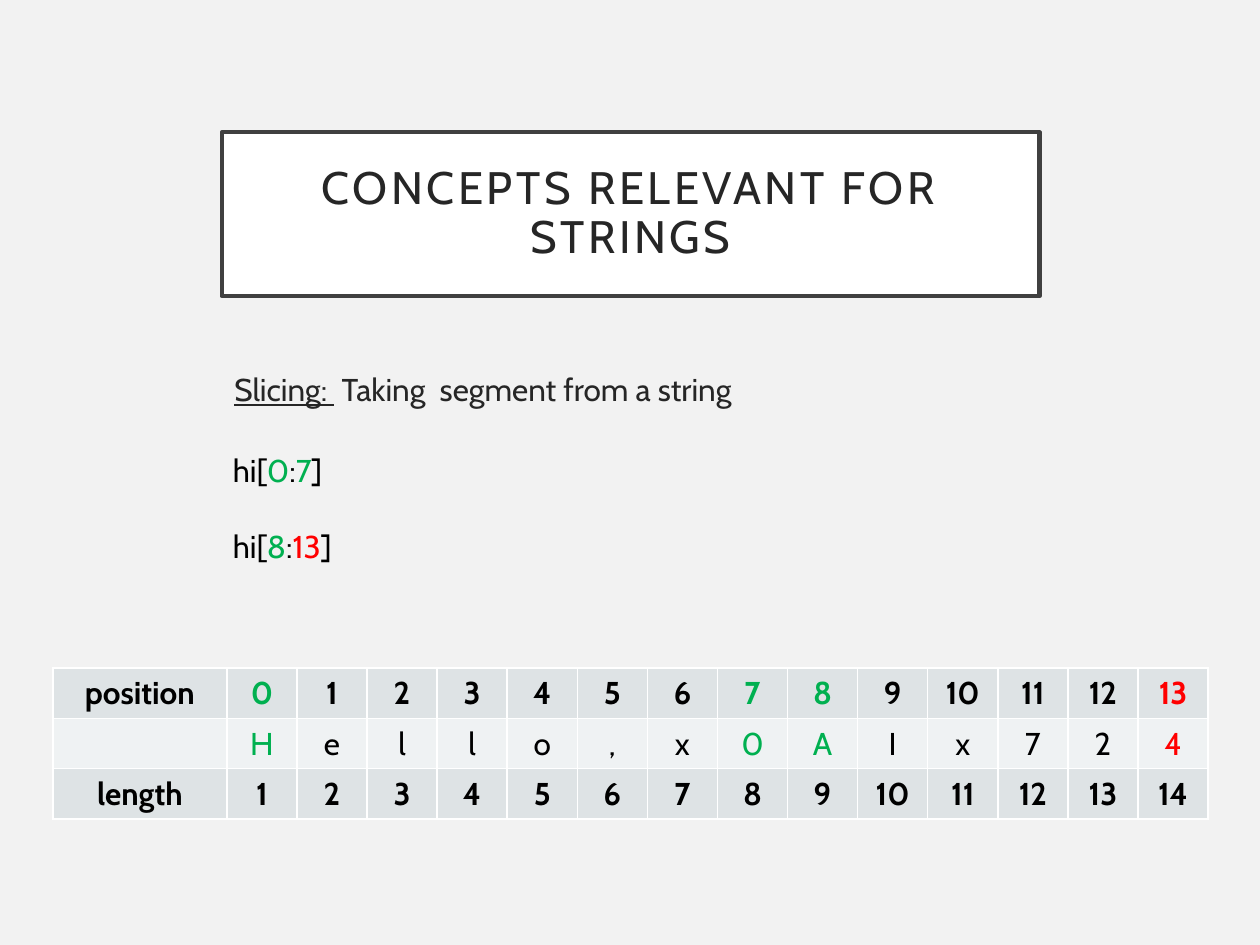
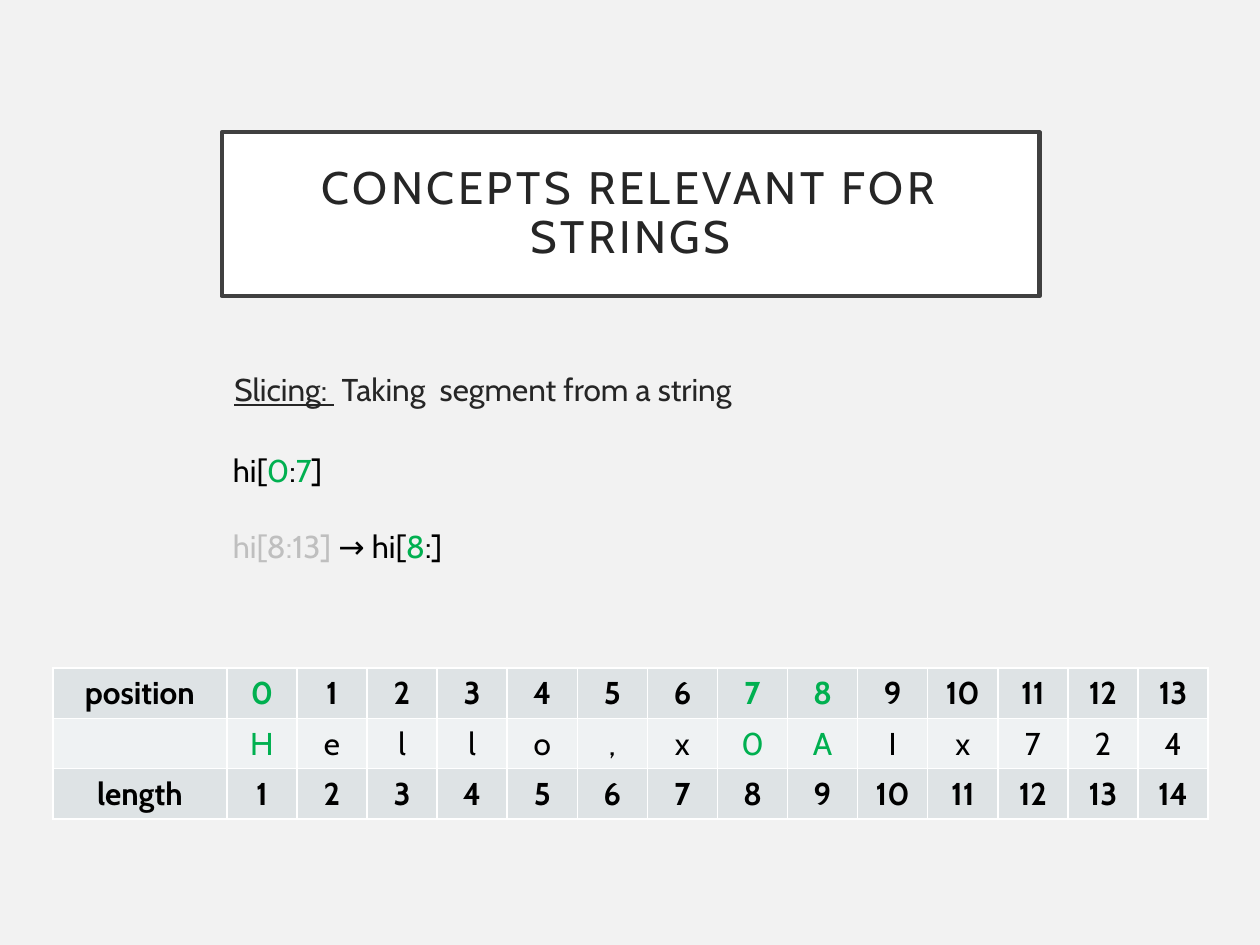
from lxml import etree
from pptx import Presentation
from pptx.dml.color import RGBColor
from pptx.enum.text import MSO_ANCHOR, MSO_AUTO_SIZE, PP_ALIGN
from pptx.oxml.ns import qn
from pptx.util import Inches, Pt

CENTER, LEFT = PP_ALIGN.CENTER, PP_ALIGN.LEFT
MIDDLE, TOP = MSO_ANCHOR.MIDDLE, MSO_ANCHOR.TOP
NO_FIT = MSO_AUTO_SIZE.NONE
GROW = MSO_AUTO_SIZE.SHAPE_TO_FIT_TEXT

FONT = "Cabin"
COLORS = {
    "background": "F2F2F2", "white": "FFFFFF", "frame": "404040",
    "heading": "262626", "black": "000000", "faded": "BFBFBF",
    "first": "00B050", "stop": "FF0000",
    "index_row": "DEE3E5", "letter_row": "EFF2F3",
}


def rgb(name):
    return RGBColor.from_string(COLORS[name])


def add_run(paragraph, text, color="black", size=18, bold=False, underline=False):
    run = paragraph.add_run()
    run.text = text
    run.font.name = FONT
    run.font.size = Pt(size)
    run.font.bold = bold
    run.font.underline = underline
    run.font.color.rgb = rgb(color)
    return run


# What the string table shows, and what differs between the slides
LETTERS = "Hello,x0AIx724"
STRING_ROWS = [
    ["position"] + [str(i) for i in range(len(LETTERS))],
    [""] + list(LETTERS),
    ["length"] + [str(i + 1) for i in range(len(LETTERS))],
]
FIRST_SLICE = [("hi[", "black"), ("0", "first"), (":", "black"),
               ("7", "first"), ("]", "black")]
GREEN_POSITIONS = {0: "first", 7: "first", 8: "first"}
SLIDES = [
    ([("hi[", "black"), ("8", "first"), (":", "black"),
      ("13", "stop"), ("]", "black")],
     {**GREEN_POSITIONS, 13: "stop"}),
    ([("hi[8:13] ", "faded"), ("→ hi[", "black"), ("8", "first"), (":]", "black")],
     GREEN_POSITIONS),
]
TABLE_WIDTH, LABEL_WIDTH, ROW_HEIGHT = 9.17, 1.38, 0.4

prs = Presentation()
prs.slide_width, prs.slide_height = Inches(10), Inches(7.5)
background = prs.slide_master.background.fill
background.solid()
background.fore_color.rgb = rgb("background")

for second_slice, marked_positions in SLIDES:
    slide = prs.slides.add_slide(prs.slide_layouts[1])

    # Framed title
    title = slide.shapes.title
    title.left, title.top = Inches(1.76), Inches(1.05)
    title.width, title.height = Inches(6.49), Inches(1.3)
    title.fill.solid()
    title.fill.fore_color.rgb = rgb("white")
    title.line.color.rgb = rgb("frame")
    title.line.width = Pt(2.5)
    frame = title.text_frame
    frame.auto_size = NO_FIT
    frame.vertical_anchor = MIDDLE
    frame.margin_left = frame.margin_right = Inches(0.2)
    frame.margin_top = frame.margin_bottom = Inches(0.2)
    heading = frame.paragraphs[0]
    heading.alignment = CENTER
    heading.line_spacing = 0.9
    heading_run = add_run(heading, "CONCEPTS RELEVANT FOR STRINGS", "heading", 26)
    heading_run.font._element.set("spc", "200")

    # Definition of slicing
    definition = slide.placeholders[1]
    definition.left, definition.top = Inches(1.76), Inches(2.89)
    definition.width, definition.height = Inches(6.49), Inches(3.39)
    definition.text_frame.auto_size = NO_FIT
    definition.text_frame.vertical_anchor = TOP
    sentence = definition.text_frame.paragraphs[0]
    sentence.alignment = LEFT
    sentence.space_before = Pt(10)
    add_run(sentence, "Slicing: ", "heading", underline=True)
    add_run(sentence, " Taking  segment from a string", "heading")
    properties = sentence._p.get_or_add_pPr()
    properties.set("marL", "0")
    properties.set("indent", "0")
    etree.SubElement(properties, qn("a:buNone"))

    # Slice examples
    examples = slide.shapes.add_textbox(
        Inches(1.75), Inches(3.53), Inches(7.41), Inches(1.01)).text_frame
    examples.word_wrap = True
    examples.auto_size = GROW
    second_example = examples.add_paragraph()
    second_example.space_before = Pt(22)
    for paragraph, pieces in ((examples.paragraphs[0], FIRST_SLICE),
                              (second_example, second_slice)):
        for text, color in pieces:
            add_run(paragraph, text, color)

    # Table of positions, letters and lengths
    string_table = slide.shapes.add_table(
        len(STRING_ROWS), len(LETTERS) + 1, Inches(0.42), Inches(5.3),
        Inches(TABLE_WIDTH), Inches(ROW_HEIGHT * len(STRING_ROWS))).table
    string_table.first_row = string_table.horz_banding = False
    for c, column in enumerate(string_table.columns):
        column.width = Inches((TABLE_WIDTH - LABEL_WIDTH) / len(LETTERS) if c else LABEL_WIDTH)
    for r, values in enumerate(STRING_ROWS):
        string_table.rows[r].height = Inches(ROW_HEIGHT)
        is_letter_row = r == 1
        for c, value in enumerate(values):
            cell = string_table.cell(r, c)
            borders = cell._tc.get_or_add_tcPr()
            for side in ("lnL", "lnR", "lnT", "lnB"):
                line = etree.SubElement(borders, qn("a:" + side), w=str(Pt(1)))
                line_fill = etree.SubElement(line, qn("a:solidFill"))
                etree.SubElement(line_fill, qn("a:srgbClr"), val=COLORS["white"])
            cell.fill.solid()
            cell.fill.fore_color.rgb = rgb("letter_row" if is_letter_row else "index_row")
            if value:
                label = cell.text_frame.paragraphs[0]
                label.alignment = CENTER
                color = marked_positions.get(c - 1, "black") if r < 2 else "black"
                add_run(label, value, color, bold=not is_letter_row)

prs.save("out.pptx")
